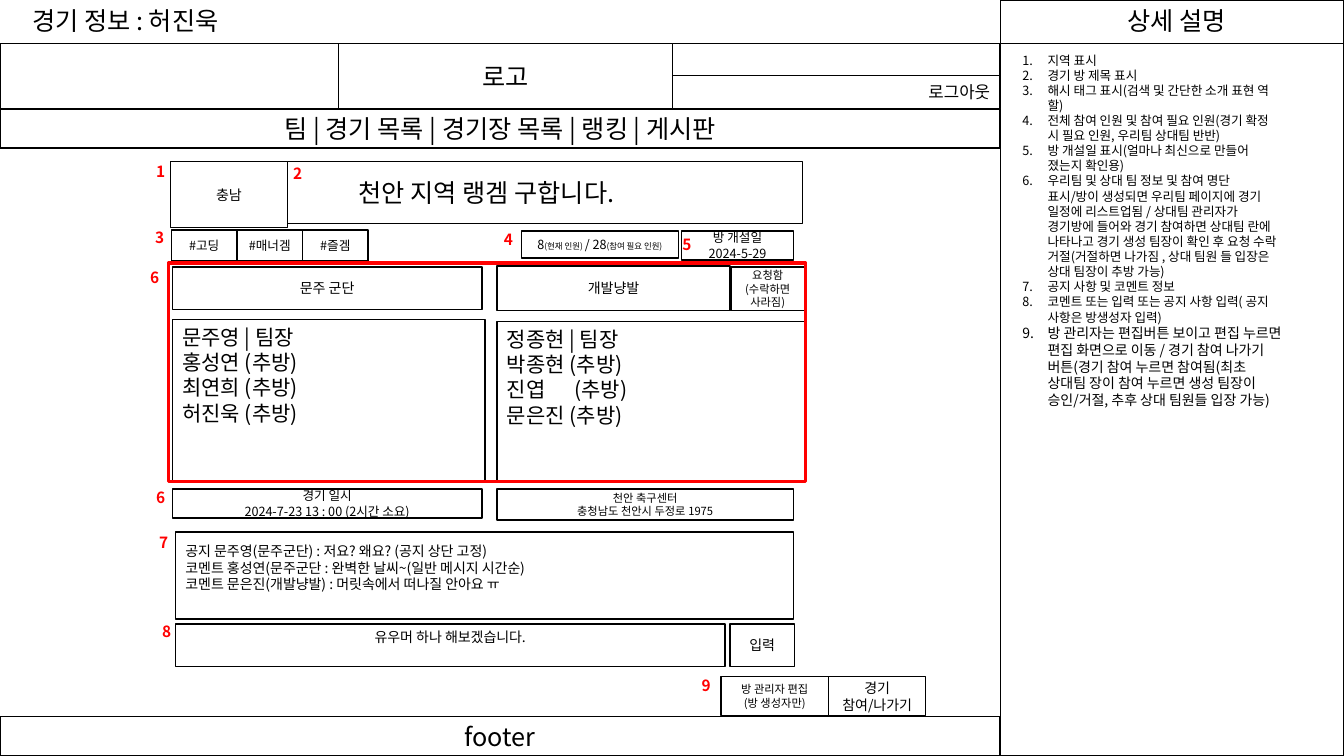
from lxml import etree
from pptx import Presentation
from pptx import util as u
from pptx.dml.color import RGBColor
from pptx.enum import shapes, text
from pptx.oxml.ns import qn

BLACK = RGBColor(0, 0, 0)
WHITE = RGBColor(255, 255, 255)
RED = RGBColor(255, 0, 0)
FONT = "Noto Sans CJK KR"

WIDE, HIGH = 13.33, 7.5
MAIN = 9.92            # width of the page mock-up; the notes stand right of it
SIDE = WIDE - MAIN
BAR = 0.43             # height of the heading row
ROW = 0.39             # height of menu, footer and buttons
HOME, AWAY = 1.71, 4.93  # left edges of the two team columns
LOW = 1.74             # left edge of the comment area
TAG = 0.65

LEFT, MID, RIGHT = text.PP_ALIGN.LEFT, text.PP_ALIGN.CENTER, text.PP_ALIGN.RIGHT

HEAD = "경기 정보 : 허진욱"
SIDE_HEAD = "상세 설명"
NOTES = [
    ("지역 표시", 9),
    ("경기 방 제목 표시", 9),
    ("해시 태그 표시(검색 및 간단한 소개 표현 역할)", 9),
    ("전체 참여 인원 및 참여 필요 인원(경기 확정 시 필요 인원, 우리팀 상대팀 반반)", 9),
    ("방 개설일 표시(얼마나 최신으로 만들어 졌는지 확인용)", 9),
    ("우리팀 및 상대 팀 정보 및 참여 명단 표시/방이 생성되면 우리팀 페이지에 경기 일정에 "
     "리스트업됨 / 상대팀 관리자가 경기방에 들어와 경기 참여하면 상대팀 란에 나타나고 "
     "경기 생성 팀장이 확인 후 요청 수락 거절(거절하면 나가짐 , 상대 팀원 들 입장은 "
     "상대 팀장이 추방 가능)", 9),
    ("공지 사항 및 코멘트 정보", 9),
    ("코멘트 또는 입력 또는 공지 사항 입력( 공지 사항은 방생성자 입력)", 9),
    ("방 관리자는 편집버튼 보이고 편집 누르면 편집 화면으로 이동 / 경기 참여 나가기 "
     "버튼(경기 참여 누르면 참여됨(최초 상대팀 장이 참여 누르면 생성 팀장이 승인/거절, "
     "추후 상대 팀원들 입장 가능)", 10),
]
TAGS = ["#고딩", "#매너겜", "#즐겜"]
COUNT = [("8", 9), ("(현재 인원) ", 6), ("/ 28", 9), ("(참여 필요 인원)", 6)]

# left, top, width, height, size, lines
CENTRED = [
    (MAIN, BAR, SIDE, HIGH - BAR, 9, []),
    (MAIN, 0, SIDE, BAR, 18, []),
    (0, BAR, MAIN, 1.04, 18, []),
    (3.36, BAR, 3.31, 0.65, 18, ["로고"]),
    (0, 1.08, MAIN, ROW, 18, ["팀 | 경기 목록 | 경기장 목록 | 랭킹 | 게시판"]),
    (0, HIGH - ROW, MAIN, ROW, 18, ["footer"]),
    (1.69, 1.6, 6.27, 0.62, 18, ["천안 지역 랭겜 구합니다."]),
    (1.69, 1.6, 1.16, 0.66, 10, ["충남"]),
    (5.17, 2.29, 1.56, 0.27, 9, [COUNT]),
    (6.76, 2.29, 1.11, 0.29, 9, ["방 개설일", "2024-5-29"]),
    (HOME, 2.65, 3.07, 0.42, 10, ["문주 군단"]),
    (AWAY, 2.64, 2.31, 0.44, 10, ["개발냥발"]),
    (7.25, 2.65, 0.73, 0.43, 8, ["요청함\n(수락하면사라짐)"]),
    (HOME, 4.85, 3.07, 0.29, 9, ["경기 일시", "2024-7-23 13 : 00 (2시간 소요)"]),
    (AWAY, 4.85, 2.94, 0.31, 8, ["천안 축구센터", "충청남도 천안시 두정로 1975"]),
    (7.24, 6.19, 0.64, 0.42, 10, ["입력"]),
    (7.15, 6.71, 1.07, ROW, 8, ["방 관리자 편집\n(방 생성자만)"]),
    (8.22, 6.71, 0.96, ROW, 10, ["경기 참여/나가기"]),
]
# as above, then alignment and top inset
TOPPED = [
    (HOME, 3.17, 3.1, 1.6, 15, ["문주영 | 팀장", "홍성연 (추방)", "최연희 (추방)",
                                "허진욱 (추방)"], LEFT, 0.05),
    (AWAY, 3.19, 3.06, 1.58, 15, ["정종현 | 팀장", "박종현 (추방)", "진엽\t(추방)",
                                  "문은진 (추방)"], LEFT, 0.05),
    (LOW, 5.28, 6.13, 0.86, 10, ["공지 문주영(문주군단) : 저요? 왜요? (공지 상단 고정)",
                                 "코멘트 홍성연(문주군단 : 완벽한 날씨~(일반 메시지 시간순)",
                                 "코멘트 문은진(개발냥발) : 머릿속에서 떠나질 안아요 ㅠ"],
     LEFT, 0.1),
    (LOW, 6.19, 5.45, 0.42, 10, ["유우머 하나 해보겠습니다."], MID, 0.05),
]
MARKS = [("1", 1.45, 1.56), ("2", 2.81, 1.58), ("3", 1.44, 2.21), ("4", 4.9, 2.23),
         ("5", 6.67, 2.28), ("6", 1.39, 2.61), ("6", 1.45, 4.79), ("7", 1.48, 5.24),
         ("8", 1.51, 6.12), ("9", 6.86, 6.66)]


def place(item, *spot):
    item.left, item.top, item.width, item.height = map(u.Inches, spot)


def style(font, size, color, bold):
    font.name, font.size, font.bold = FONT, u.Pt(size), bold
    font.color.rgb = color


def write(frame, lines, size, align=LEFT, color=BLACK, bold=False):
    """Fill a frame; a line is a string or a list of (text, size) runs."""
    frame.word_wrap = True
    frame.auto_size = text.MSO_AUTO_SIZE.NONE
    for i, line in enumerate(lines):
        para = frame.add_paragraph() if i else frame.paragraphs[0]
        para.alignment = align
        para.space_before = u.Pt(0)
        runs = [(line, size)] if isinstance(line, str) else line
        para.line_spacing = u.Pt(1.2 * max(s for _, s in runs))
        for words, pts in runs:
            for j, part in enumerate(words.split("\n")):
                if j:
                    para.add_line_break()
                run = para.add_run()
                run.text = part
                style(run.font, pts, color, bold)
                east = etree.SubElement(run.font._element, qn("a:ea"))
                east.set("typeface", FONT)
        if "\t" in line:
            tabs = etree.SubElement(para._p.get_or_add_pPr(), qn("a:tabLst"))
            etree.SubElement(tabs, qn("a:tab"), pos=str(u.Inches(0.67)), algn="l")


def box(x, y, w, h, size=9, lines=(), align=MID, inset=None):
    """Draw a white framed box; an inset hangs its text from the top."""
    item = slide.shapes.add_shape(shapes.MSO_SHAPE.RECTANGLE, *map(u.Inches, (x, y, w, h)))
    item.shadow.inherit = False
    item.fill.solid()
    item.fill.fore_color.rgb = WHITE
    item.line.color.rgb = BLACK
    item.line.width = u.Pt(1)
    frame = item.text_frame
    frame.vertical_anchor = text.MSO_ANCHOR.MIDDLE
    if inset:
        frame.vertical_anchor = text.MSO_ANCHOR.TOP
        frame.margin_top = u.Inches(inset)
    write(frame, lines, size, align)
    return item


def label(words, x, y, w, h, size, **look):
    item = slide.shapes.add_textbox(*map(u.Inches, (x, y, w, h)))
    write(item.text_frame, [words], size, **look)


deck = Presentation()
deck.slide_width, deck.slide_height = u.Inches(WIDE), u.Inches(HIGH)
slide = deck.slides.add_slide(deck.slide_layouts[1])

for spec_row in CENTRED:
    box(*spec_row)
box(6.67, 0.75, 3.25, 0.33, 12, ["로그아웃"], RIGHT)
for i, tag in enumerate(TAGS):
    box(1.7 + TAG * i, 2.28, TAG, 0.31, 9, [tag])
for row in TOPPED:
    box(*row)

teams = box(1.67, 2.61, 6.32, 2.17)
teams.fill.background()
teams.line.color.rgb = RED
teams.line.width = u.Pt(2.25)

for digit, x, y in MARKS:
    label(digit, x, y, 0.38, 0.29, 11, color=RED, bold=True)
label(SIDE_HEAD, 11.08, 0, 1.3, 0.4, 18)

title, notes = slide.placeholders
place(title, 0.22, 0, 2.62, 0.4)
write(title.text_frame, [HEAD], 18)

place(notes, 10.04, 0.47, 2.78, 3.84)
write(notes.text_frame, [[note] for note in NOTES], 9)
for para in notes.text_frame.paragraphs:
    props = para._p.get_or_add_pPr()
    props.set("marL", str(u.Inches(0.25)))
    props.set("indent", str(u.Inches(-0.25)))
    etree.SubElement(props, qn("a:buFont"), typeface="+mj-lt")
    etree.SubElement(props, qn("a:buAutoNum"), type="arabicPeriod")
slide.shapes._spTree.append(notes._element)  # bring in front of the side panel

deck.save("out.pptx")
